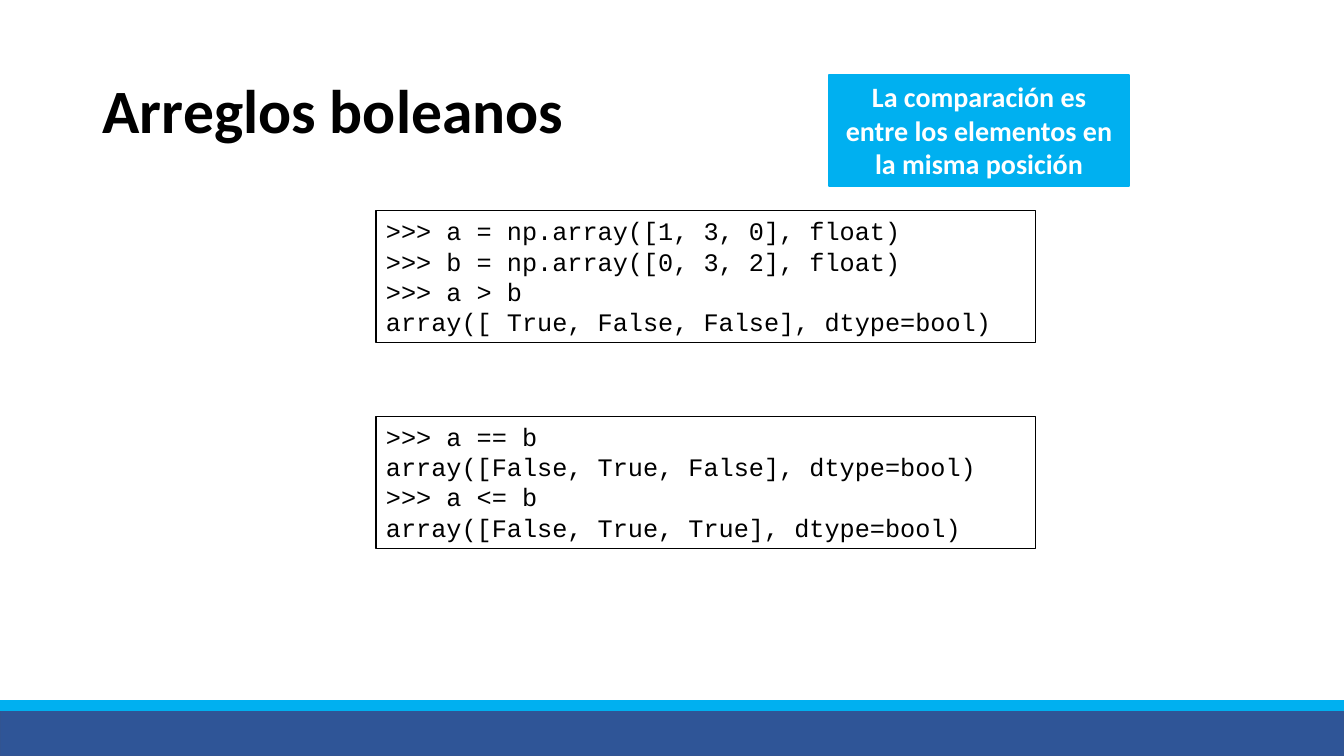
from dataclasses import dataclass

from pptx import Presentation
from pptx.dml.color import RGBColor
from pptx.enum.shapes import MSO_SHAPE as Preset
from pptx.enum.text import MSO_ANCHOR as Anchor
from pptx.enum.text import MSO_AUTO_SIZE as AutoSize
from pptx.enum.text import PP_ALIGN as Align
from pptx.shapes.autoshape import Shape
from pptx.slide import Slide
from pptx.util import Emu, Pt

PX = 9144
COLORS = {
    "black": "000000",
    "white": "FFFFFF",
    "cyan": "00B0F0",
    "navy": "2F5597",
    "navy_edge": "325491",
}


@dataclass(frozen=True)
class Panel:
    left: int
    top: int
    width: int
    height: int
    fill: str
    edge: str
    weight: float = 1


@dataclass(frozen=True)
class CodeBlock:
    top: int
    lines: list[str]


BANDS = [
    Panel(0, 703, 1333, 47, "navy", "navy_edge"),
    Panel(0, 695, 1333, 10, "cyan", "cyan"),
]
CALLOUT = Panel(822, 74, 298, 111, "cyan", "cyan", 1.5)
CODE_BLOCKS = [
    CodeBlock(209, [
        ">>> a = np.array([1, 3, 0], float)",
        ">>> b = np.array([0, 3, 2], float)",
        ">>> a > b",
        "array([ True, False, False], dtype=bool)",
    ]),
    CodeBlock(413, [
        ">>> a == b",
        "array([False, True, False], dtype=bool)",
        ">>> a <= b",
        "array([False, True, True], dtype=bool)",
    ]),
]


def px(length: int) -> Emu:
    return Emu(length * PX)


def color(name: str) -> RGBColor:
    return RGBColor.from_string(COLORS[name])


def draw_panel(page: Slide, panel: Panel) -> Shape:
    box = page.shapes.add_shape(
        Preset.RECTANGLE, px(panel.left), px(panel.top), px(panel.width), px(panel.height)
    )
    box.shadow.inherit = False
    box.fill.solid()
    box.fill.fore_color.rgb = color(panel.fill)
    box.line.color.rgb = color(panel.edge)
    box.line.width = Pt(panel.weight)
    return box


def write(
    box: Shape,
    lines: list[str],
    *,
    size: int,
    font: str = "Calibri",
    ink: str = "black",
    bold: bool = False,
    align: Align = Align.LEFT,
    anchor: Anchor = Anchor.TOP,
    spacing: float = 1.0,
    grow: bool = True,
) -> None:
    frame = box.text_frame
    frame.word_wrap = True
    frame.auto_size = AutoSize.SHAPE_TO_FIT_TEXT if grow else AutoSize.NONE
    frame.vertical_anchor = anchor
    for index, line in enumerate(lines):
        para = frame.add_paragraph() if index else frame.paragraphs[0]
        para.alignment = align
        para.line_spacing = spacing
        span = para.add_run()
        span.text = line
        span.font.name = font
        span.font.size = Pt(size)
        span.font.bold = bold
        span.font.color.rgb = color(ink)


def main() -> None:
    deck = Presentation()
    deck.slide_width, deck.slide_height = px(1333), px(750)
    page = deck.slides.add_slide(deck.slide_layouts[6])

    for band in BANDS:
        draw_panel(page, band)

    title = page.shapes.add_textbox(px(92), px(40), px(1150), px(145))
    write(title, ["Arreglos boleanos"], size=44, bold=True,
          anchor=Anchor.MIDDLE, spacing=0.9, grow=False)

    for block in CODE_BLOCKS:
        box = draw_panel(page, Panel(373, block.top, 654, 131, "white", "black"))
        write(box, block.lines, size=18, font="Courier New")

    write(draw_panel(page, CALLOUT),
          ["La comparación es entre los elementos en la misma posición"],
          size=20, ink="white", bold=True, align=Align.CENTER)

    deck.save("out.pptx")


if __name__ == "__main__":
    main()
